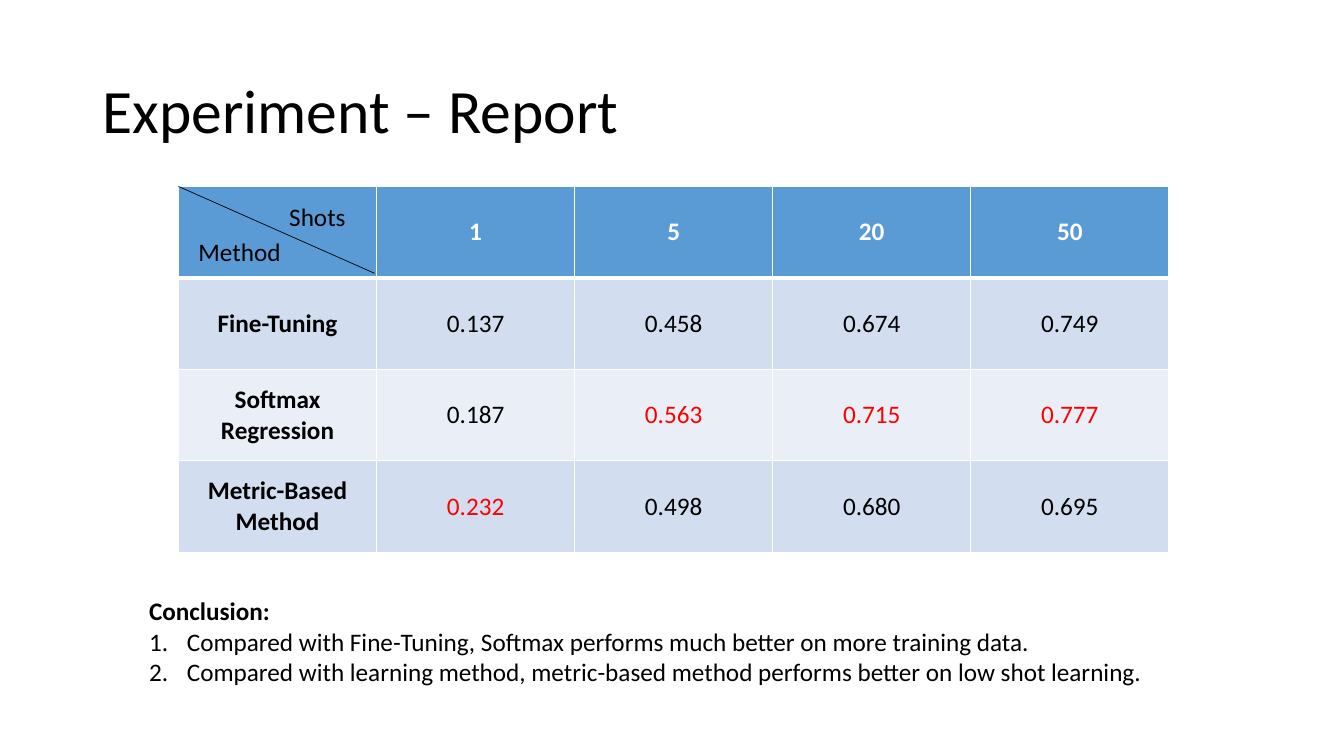
from collections import namedtuple

from lxml import etree
from pptx import Presentation
from pptx.dml.color import RGBColor
from pptx.enum import shapes, text
from pptx.oxml import ns
from pptx.util import Pt

Box = namedtuple("Box", "left top width height")
COLORS = {"ink": "000000", "paper": "FFFFFF", "best": "FF0000",
          "header": "5B9BD5", "band": "D2DEEF", "light": "EAEFF7"}
FONT = "Calibri"
SHOTS = ["1", "5", "20", "50"]
RESULTS = [
    ("Fine-Tuning", ["0.137", "0.458", "0.674", "0.749"]),
    ("Softmax Regression", ["0.187", "0.563", "0.715", "0.777"]),
    ("Metric-Based\nMethod", ["0.232", "0.498", "0.680", "0.695"]),
]
FINDINGS = [
    "Compared with Fine-Tuning, Softmax performs much better on more training data.",
    "Compared with learning method, metric-based method performs better on low shot learning.",
]


def color(name):
    return RGBColor.from_string(COLORS[name])


def style(paragraph, size=18, ink="ink", bold=False):
    font = paragraph.font
    font.name, font.size, font.bold = FONT, Pt(size), bold
    font.color.rgb = color(ink)


def place(shape, box):
    shape.left, shape.top, shape.width, shape.height = map(Pt, box)


def add_title(page, box):
    title = page.shapes.title
    place(title, box)
    frame = title.text_frame
    frame.text = "Experiment – Report"
    frame.vertical_anchor = text.MSO_ANCHOR.MIDDLE
    paragraph = frame.paragraphs[0]
    paragraph.alignment = text.PP_ALIGN.LEFT
    paragraph.line_spacing = 0.9
    style(paragraph, 44)


def add_text(page, box, lines):
    shape = page.shapes.add_textbox(*map(Pt, box))
    frame = shape.text_frame
    frame.word_wrap = True
    frame.text = "\n".join(lines)
    for paragraph in frame.paragraphs:
        style(paragraph)
    return frame.paragraphs


def set_borders(cell, top, bottom):
    properties = cell._tc.get_or_add_tcPr()
    widths = {"lnL": 1, "lnR": 1, "lnT": top, "lnB": bottom}
    for position, (side, width) in enumerate(widths.items()):
        line = etree.Element(ns.qn(f"a:{side}"), w=str(Pt(width)))
        fill = etree.SubElement(line, ns.qn("a:solidFill"))
        etree.SubElement(fill, ns.qn("a:srgbClr"), val=COLORS["paper"])
        properties.insert(position, line)


def fill_cell(cell, words, fill, ink, bold):
    cell.fill.solid()
    cell.fill.fore_color.rgb = color(fill)
    cell.vertical_anchor = text.MSO_ANCHOR.MIDDLE
    cell.text = words
    for paragraph in cell.text_frame.paragraphs:
        paragraph.alignment = text.PP_ALIGN.CENTER
        style(paragraph, ink=ink, bold=bold)


def add_results(page, box):
    rows = [["", *SHOTS]] + [[method, *scores] for method, scores in RESULTS]
    frame = page.shapes.add_table(len(rows), len(rows[0]), *map(Pt, box))
    table = frame.table
    table.first_row = table.horz_banding = False
    for column in table.columns:
        column.width = Pt(box.width / len(rows[0]))
    for row in table.rows:
        row.height = Pt(box.height / len(rows))

    # The highest score for each number of shots is red
    best = [max(scores) for scores in zip(*(scores for _, scores in RESULTS))]
    for r, row in enumerate(rows):
        fill = "header" if r == 0 else "band" if r % 2 else "light"
        for c, words in enumerate(row):
            if r == 0:
                ink = "paper"
            else:
                ink = "best" if c and words == best[c - 1] else "ink"
            cell = table.cell(r, c)
            fill_cell(cell, words, fill, ink, bold=r == 0 or c == 0)
            set_borders(cell, top=3 if r == 1 else 1, bottom=3 if r == 0 else 1)


def add_corner(page, box):
    # Diagonal split of the header cell, with a label on each side
    line = page.shapes.add_connector(
        shapes.MSO_CONNECTOR.STRAIGHT, Pt(box.left), Pt(box.top),
        Pt(box.left + box.width), Pt(box.top + box.height))
    line.line.color.rgb = color("ink")
    line.line.width = Pt(0.5)
    etree.SubElement(line._element.spPr, ns.qn("a:effectLst"))
    add_text(page, Box(box.left + 72, box.top + 7.2, 68.4, 29), ["Shots"])
    add_text(page, Box(box.left + 7.2, box.top + 32, 74.2, 29), ["Method"])


def add_conclusion(page, box):
    heading, *findings = add_text(page, box, ["Conclusion:", *FINDINGS])
    heading.font.bold = True
    for paragraph in findings:
        properties = paragraph._p.get_or_add_pPr()
        properties.set("marL", str(Pt(27)))
        properties.set("indent", str(Pt(-27)))
        number = etree.Element(ns.qn("a:buAutoNum"), type="arabicPeriod")
        properties.insert(0, number)


def main():
    deck = Presentation()
    deck.slide_width, deck.slide_height = Pt(960), Pt(540)
    page = deck.slides.add_slide(deck.slide_layouts.get_by_name("Title Only"))
    page.background.fill.solid()
    page.background.fill.fore_color.rgb = color("paper")
    add_title(page, Box(66, 28.75, 828, 104.4))
    add_results(page, Box(127.5, 133.2, 707.5, 261.4))
    add_corner(page, Box(127.5, 133.2, 140, 62))
    add_conclusion(page, Box(99.4, 422, 751, 72.7))
    deck.save("out.pptx")


if __name__ == "__main__":
    main()
